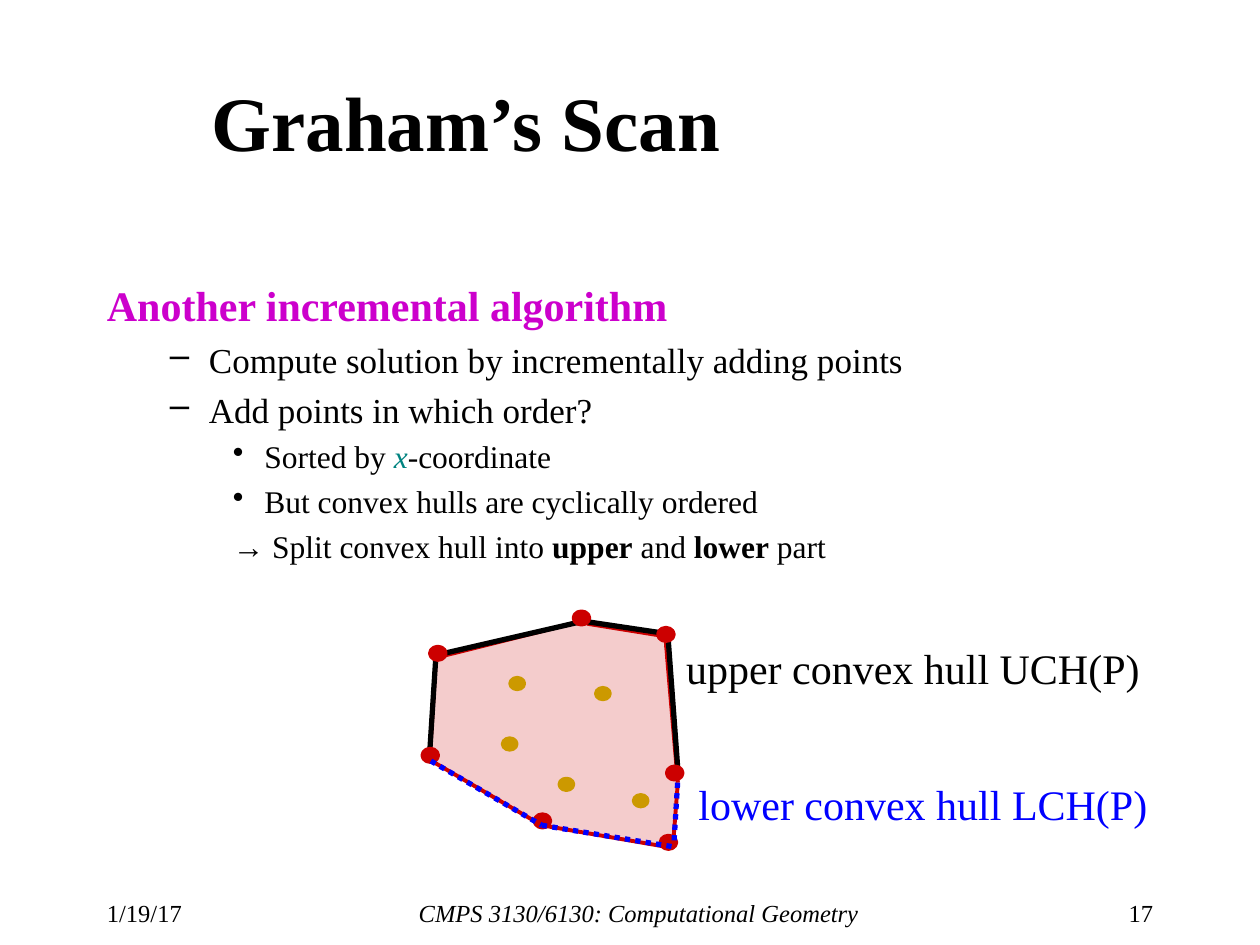
from dataclasses import dataclass
from itertools import pairwise

from lxml import etree
from pptx import Presentation
from pptx.dml.color import RGBColor
from pptx.enum.dml import MSO_LINE
from pptx.enum.shapes import MSO_CONNECTOR, MSO_SHAPE
from pptx.enum.text import MSO_ANCHOR, PP_ALIGN
from pptx.oxml.ns import qn
from pptx.util import Inches, Pt

LEFT, CENTER, RIGHT = PP_ALIGN.LEFT, PP_ALIGN.CENTER, PP_ALIGN.RIGHT
TOP, MIDDLE = MSO_ANCHOR.TOP, MSO_ANCHOR.MIDDLE
STRAIGHT, ELLIPSE = MSO_CONNECTOR.STRAIGHT, MSO_SHAPE.OVAL
DOTTED = MSO_LINE.ROUND_DOT
TITLE_ONLY = 5
COLUMNS, ROWS = 100, 75


@dataclass(frozen=True)
class Theme:
    font: str = "Times New Roman"
    ink: str = "000000"
    heading: str = "CC00CC"
    variable: str = "008380"
    hull: str = "CC0000"
    interior: str = "CC9900"
    lower: str = "0000FF"
    title_size: int = 44
    label_size: int = 24
    footer_size: int = 14
    level_sizes: tuple = (24, 20, 18)
    level_indents: tuple = ((0.38, -0.38), (0.81, -0.31), (1.25, -0.25))
    paragraph_gap: float = 0.23
    hull_opacity: int = 20


class SlideBuilder:
    def __init__(self, deck, theme):
        self.theme = theme
        self.slide = deck.slides.add_slide(deck.slide_layouts[TITLE_ONLY])
        self.shapes = self.slide.shapes
        self.column = deck.slide_width / COLUMNS
        self.row = deck.slide_height / ROWS

    def place(self, x, y):
        return round(x * self.column), round(y * self.row)

    def box(self, left, top, width, height):
        return *self.place(left, top), *self.place(width, height)

    def style_run(self, run, size, color, bold=False, italic=False):
        font = run.font
        font.name, font.size = self.theme.font, Pt(size)
        font.bold, font.italic = bold, italic
        font.color.rgb = RGBColor.from_string(color)

    def title(self, text, area):
        heading = self.shapes.title
        heading.left, heading.top, heading.width, heading.height = self.box(*area)
        frame = heading.text_frame
        frame.text = text
        frame.vertical_anchor = MIDDLE
        paragraph = frame.paragraphs[0]
        paragraph.alignment = LEFT
        self.style_run(paragraph.runs[0], self.theme.title_size, self.theme.ink, bold=True)

    def frame(self, area):
        frame = self.shapes.add_textbox(*self.box(*area)).text_frame
        frame.word_wrap = True
        frame.vertical_anchor = TOP
        return frame

    def label(self, text, area, size, color, align=CENTER, italic=False):
        frame = self.frame(area)
        frame.text = text
        paragraph = frame.paragraphs[0]
        paragraph.alignment = align
        self.style_run(paragraph.runs[0], size, color, italic=italic)

    def outline(self, items, area):
        frame = self.frame(area)
        for index, (level, bullet, parts) in enumerate(items):
            paragraph = frame.add_paragraph() if index else frame.paragraphs[0]
            size = self.theme.level_sizes[level]
            paragraph.level = level
            paragraph.space_before = Pt(round(size * self.theme.paragraph_gap, 2))
            margin, indent = self.theme.level_indents[level]
            properties = paragraph._p.get_or_add_pPr()
            properties.set("marL", str(Inches(margin)))
            properties.set("indent", str(Inches(indent)))
            if bullet:
                etree.SubElement(properties, qn("a:buChar")).set("char", bullet)
            for text, look in parts:
                run = paragraph.add_run()
                run.text = text
                self.style_run(run, size, **{"color": self.theme.ink, **look})

    def region(self, corners, color, opacity):
        start, *others = [self.place(*corner) for corner in corners]
        builder = self.shapes.build_freeform(*start)
        builder.add_line_segments(others, close=True)
        area = builder.convert_to_shape()
        area.shadow.inherit = False
        area.line.fill.background()
        area.fill.solid()
        area.fill.fore_color.rgb = RGBColor.from_string(color)
        tint = area.fill._xPr.find(qn("a:solidFill"))[0]
        etree.SubElement(tint, qn("a:alpha")).set("val", str(opacity * 1000))

    def chain(self, corners, color, width, dash=None, grouped=True):
        shapes = self.shapes.add_group_shape().shapes if grouped else self.shapes
        for start, end in pairwise(corners):
            edge = shapes.add_connector(STRAIGHT, *self.place(*start), *self.place(*end))
            edge.line.color.rgb = RGBColor.from_string(color)
            edge.line.width = Pt(width)
            if dash:
                edge.line.dash_style = dash
            etree.SubElement(edge._element.spPr, qn("a:effectLst"))

    def dots(self, corners, color, width):
        for left, top in corners:
            dot = self.shapes.add_shape(ELLIPSE, *self.box(left, top, 1.1, 0.9))
            dot.shadow.inherit = False
            dot.fill.solid()
            dot.fill.fore_color.rgb = RGBColor.from_string(color)
            dot.line.color.rgb = RGBColor.from_string(color)
            dot.line.width = Pt(width)


def main():
    deck = Presentation()
    deck.slide_width, deck.slide_height = Inches(10), Inches(7.5)
    theme = Theme()
    page = SlideBuilder(deck, theme)

    footer = [
        ("1/19/17", 7.5, 9.5, LEFT, False),
        ("CMPS 3130/6130: Computational Geometry", 19, 63.4, CENTER, True),
        ("17", 84.3, 8.2, RIGHT, False),
    ]
    for text, left, width, align, italic in footer:
        page.label(text, (left, 70.8, width, 2.5), theme.footer_size, theme.ink, align, italic)

    page.title("Graham’s Scan", (15.8, 3.3, 82.5, 12.5))
    strong = {"bold": True}
    page.outline([
        (0, None, [("Another incremental algorithm", {"color": theme.heading, "bold": True})]),
        (1, "–", [("Compute solution by incrementally adding points", {})]),
        (1, "–", [("Add points in which order?", {})]),
        (2, "•", [("Sorted by ", {}), ("x", {"color": theme.variable, "italic": True}),
                  ("-coordinate", {})]),
        (2, "•", [("But convex hulls are cyclically ordered", {})]),
        (2, None, [("→ Split convex hull into ", {}), ("upper", strong), (" and ", {}),
                   ("lower", strong), (" part", {})]),
    ], (7.5, 21.7, 85, 45))

    page.region([
        (46.1, 49.4), (35, 52.1), (34.4, 52.4), (34, 59.7), (34.3, 60.5),
        (34.7, 60.7), (42.6, 65.3), (43.6, 65.6), (52.1, 67.1), (53.4, 66.4),
        (53.8, 61.7), (53.7, 61), (52.6, 50.5),
    ], theme.hull, theme.hull_opacity)
    page.dots([(40.5, 53.8), (50.3, 63.1), (44.4, 61.8), (47.3, 54.6), (39.9, 58.6)],
              theme.interior, 2.25)
    page.chain([
        (46.2, 49.3), (34.6, 52.2), (34.1, 60.3), (43, 65.5), (53.4, 67.3),
        (53.8, 62.1), (52.8, 50.5), (46.6, 49.5),
    ], theme.hull, 2.25)
    page.chain([(34.1, 59.8), (34.6, 52), (46.3, 49.3), (53, 50.3), (53.8, 61.1)],
               theme.ink, 3)
    page.dots([
        (34.2, 51.4), (45.6, 48.6), (33.6, 59.5), (42.5, 64.7), (52.3, 49.9),
        (53, 60.9), (52.5, 66.4),
    ], theme.hull, 3.25)
    page.label("upper convex hull UCH(P)", (52, 50.5, 40.9, 5), theme.label_size, theme.ink)
    for corners in ([(34.2, 60.4), (43, 65.5), (53.4, 67.2)], [(53.5, 66.7), (53.8, 61.8)]):
        page.chain(corners, theme.lower, 3, DOTTED, grouped=False)
    page.label("lower convex hull LCH(P)", (52.8, 61.3, 40.9, 5), theme.label_size, theme.lower)

    deck.save("out.pptx")


if __name__ == "__main__":
    main()
